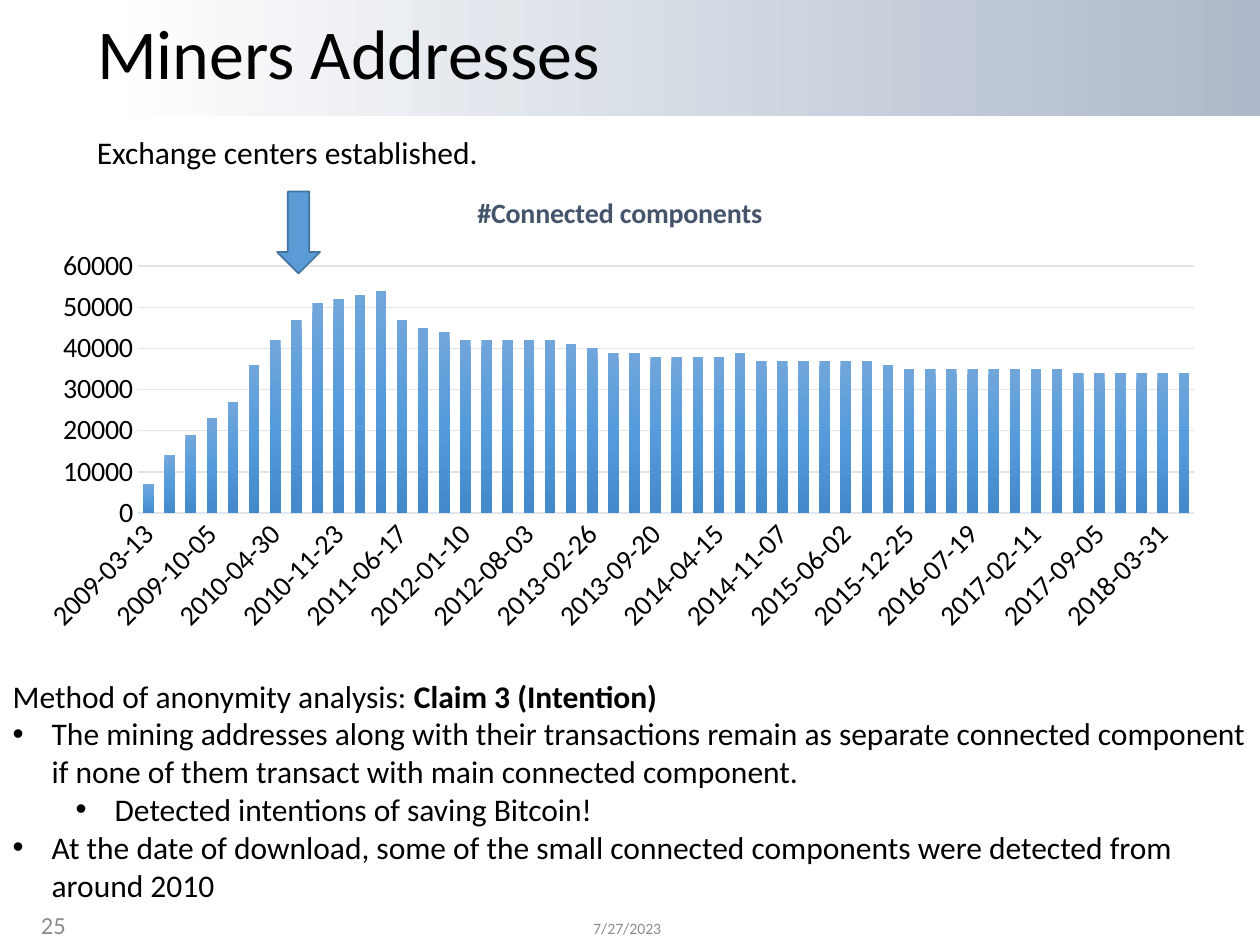
"""Build the slide on miners' addresses with its column chart."""
from dataclasses import dataclass

import pptx
import pptx.chart.data
import pptx.dml.color
import pptx.enum.chart
import pptx.enum.shapes
import pptx.enum.text
import pptx.oxml
import pptx.oxml.ns
import pptx.util
from pptx.util import Inches

qn = pptx.oxml.ns.qn
ALIGN = pptx.enum.text.PP_ALIGN
ANCHOR = pptx.enum.text.MSO_ANCHOR
NONE = pptx.enum.chart.XL_TICK_MARK.NONE
FONT = "Calibri"
GRID = "E0E5EB"

DATES = [
    39885, 39954, 40023, 40091, 40160, 40229, 40298, 40367, 40436, 40505,
    40573, 40642, 40711, 40780, 40849, 40918, 40987, 41055, 41124, 41193,
    41262, 41331, 41400, 41468, 41537, 41606, 41675, 41744, 41813, 41882,
    41950, 42019, 42088, 42157, 42226, 42295, 42363, 42432, 42501, 42570,
    42639, 42708, 42777, 42845, 42914, 42983, 43052, 43121, 43190, 43258,
]
THOUSANDS = [
    7, 14, 19, 23, 27, 36, 42, 47, 51, 52, 53, 54, 47, 45, 44, 42, 42, 42, 42, 42,
    41, 40, 39, 39, 38, 38, 38, 38, 39, 37, 37, 37, 37, 37, 37, 36, 35, 35, 35, 35,
    35, 35, 35, 35, 34, 34, 34, 34, 34, 34,
]


@dataclass
class Run:
    text: str
    bold: bool = False


@dataclass
class Para:
    runs: list[Run]
    level: int = 0
    indent: float = 0


@dataclass
class Label:
    text: str
    box: tuple[float, float, float, float]
    size: float
    color: str = "000000"
    align: ALIGN = ALIGN.LEFT
    anchor: ANCHOR = ANCHOR.TOP


LABELS = [
    Label("Exchange centers established.", (0.67, 1.01, 3.66, 0.4), 18),
    Label("7/27/2023", (4.61, 7.17, 1.35, 0.4), 9, "8C8C8C", anchor=ANCHOR.MIDDLE),
    Label("25", (0, 7.14, 0.62, 0.4), 14, "8C8C8C", ALIGN.RIGHT, ANCHOR.MIDDLE),
]
CLAIM = [
    Para([Run("Method of anonymity analysis: "), Run("Claim 3 (Intention)", True)]),
    Para([Run("The mining addresses along with their transactions remain as separate "
              "connected component if none of them transact with main connected "
              "component.")], indent=0.31),
    Para([Run("Detected intentions of saving Bitcoin!")], 1, 0.81),
    Para([Run("At the date of download, some of the small connected components were "
              "detected from around 2010")], indent=0.31),
]


def rgb(value: str) -> pptx.dml.color.RGBColor:
    """Turn a hex string into a colour."""
    return pptx.dml.color.RGBColor.from_string(value)


def set_font(font, size: float, color: str = "000000", bold: bool = False) -> None:
    """Set face, size, colour and weight."""
    font.name, font.size, font.bold = FONT, pptx.util.Pt(size), bold
    font.color.rgb = rgb(color)


def set_gradient(fill, element, stops: list[tuple[int, str]], angle: float) -> None:
    """Give a fill its gradient stops, in percent, and its angle."""
    fill.gradient()
    fill.gradient_angle = angle
    gs_list = next(element.iter(qn("a:gsLst")))
    for gs in list(gs_list):
        gs_list.remove(gs)
    for position, color in stops:
        gs_list.append(pptx.oxml.parse_xml(
            f'<a:gs {pptx.oxml.ns.nsdecls("a")} pos="{position * 1000}">'
            f'<a:srgbClr val="{color}"/></a:gs>'))


def place(sp, box: tuple[float, float, float, float]) -> None:
    """Move and size a shape in inches."""
    sp.left, sp.top, sp.width, sp.height = map(Inches, box)


def set_bullet(p, indent: float) -> None:
    """Hang a round bullet at the indent, or remove the bullet at zero."""
    pPr = p._p.get_or_add_pPr()
    pPr.set("marL", str(Inches(indent)))
    pPr.set("indent", str(Inches(-0.31 if indent else 0)))
    kind = 'buChar char="•"' if indent else "buNone"
    pPr.append(pptx.oxml.parse_xml(f'<a:{kind} {pptx.oxml.ns.nsdecls("a")}/>'))


def add_label(s, label: Label) -> None:
    """Add a one-line text box."""
    tf = s.shapes.add_textbox(*map(Inches, label.box)).text_frame
    tf.word_wrap, tf.vertical_anchor = True, label.anchor
    p = tf.paragraphs[0]
    p.alignment = label.align
    r = p.add_run()
    r.text = label.text
    set_font(r.font, label.size, label.color)


def add_header(s) -> None:
    """Add the shaded band behind the title and fill in the title."""
    sp = s.shapes.add_shape(pptx.enum.shapes.MSO_SHAPE.RECTANGLE, 0, 0, Inches(10), Inches(0.92))
    sp.shadow.inherit = False
    sp.line.fill.background()
    set_gradient(sp.fill, sp._element, [(0, "ADB9CA"), (92, "FFFFFF"), (100, "FFFFFF")], 180)
    s.shapes._spTree.insert(2, sp._element)
    title = s.shapes.title
    place(title, (0.67, 0.08, 9, 0.75))
    tf = title.text_frame
    tf.vertical_anchor = ANCHOR.MIDDLE
    p = tf.paragraphs[0]
    p.alignment, p.line_spacing = ALIGN.LEFT, 0.9
    r = p.add_run()
    r.text = "Miners Addresses"
    set_font(r.font, 40)


def add_claim(s) -> None:
    """Fill the body placeholder with the claim list."""
    body = s.placeholders[1]
    place(body, (0, 5.32, 10, 1.92))
    tf = body.text_frame
    tf.auto_size = pptx.enum.text.MSO_AUTO_SIZE.NONE
    for i, para in enumerate(CLAIM):
        p = tf.add_paragraph() if i else tf.paragraphs[0]
        p.level, p.space_before = para.level, pptx.util.Pt(0)
        set_bullet(p, para.indent)
        for run in para.runs:
            r = p.add_run()
            r.text = run.text
            set_font(r.font, 18, bold=run.bold)


def add_components_chart(s) -> None:
    """Add the column chart of connected components by date."""
    date_format = "yyyy\\-mm\\-dd;@"
    data = pptx.chart.data.CategoryChartData()
    data.categories = DATES
    data.categories.number_format = date_format
    data.add_series("#Connected components", [n * 1000 for n in THOUSANDS])
    chart = s.shapes.add_chart(
        pptx.enum.chart.XL_CHART_TYPE.COLUMN_CLUSTERED,
        *map(Inches, (0.17, 1.37, 9.5, 3.73)), data).chart
    set_font(chart.font, 10)
    chart.has_legend = False
    chart.has_title = True
    r = chart.chart_title.text_frame.paragraphs[0].add_run()
    r.text = "#Connected components"
    set_font(r.font, 16, "44546A", True)
    chart.chart_title.include_in_layout = False

    plot = chart.plots[0]
    plot.gap_width, plot.overlap, plot.vary_by_categories = 100, -24, False
    series = plot.series[0]
    set_gradient(series.format.fill, series._element,
                 [(0, "71A6DB"), (50, "559BDB"), (100, "448ACA")], 270)

    dates, counts = chart.category_axis, chart.value_axis
    for axis in (dates, counts):
        axis.major_tick_mark = axis.minor_tick_mark = NONE
        set_font(axis.tick_labels.font, 16)
    dates.tick_labels.number_format = date_format
    dates.tick_labels.number_format_is_linked = False
    dates._element.find(qn("c:txPr")).find(qn("a:bodyPr")).set("rot", "-2700000")
    for auto in dates._element.iter(qn("c:auto")):
        auto.set("val", "0")
    counts.minimum_scale, counts.maximum_scale, counts.major_unit = 0, 60000, 10000
    counts.format.line.fill.background()
    for line in (dates.format.line, counts.major_gridlines.format.line):
        line.color.rgb, line.width = rgb(GRID), pptx.util.Pt(0.75)


def add_arrow(s) -> None:
    """Add the arrow that marks the first exchange centers."""
    sp = s.shapes.add_shape(pptx.enum.shapes.MSO_SHAPE.DOWN_ARROW,
                            *map(Inches, (2.2, 1.52, 0.34, 0.65)))
    sp.shadow.inherit = False
    sp.fill.solid()
    sp.fill.fore_color.rgb = rgb("5B9BD5")
    sp.line.color.rgb, sp.line.width = rgb("43739E"), pptx.util.Pt(1)


def main() -> None:
    """Build and save the slide."""
    prs = pptx.Presentation()
    prs.slide_width, prs.slide_height = Inches(10), Inches(7.5)
    s = prs.slides.add_slide(prs.slide_layouts[1])
    add_header(s)
    add_components_chart(s)
    add_claim(s)
    add_arrow(s)
    for label in LABELS:
        add_label(s, label)
    prs.save("out.pptx")


if __name__ == "__main__":
    main()
